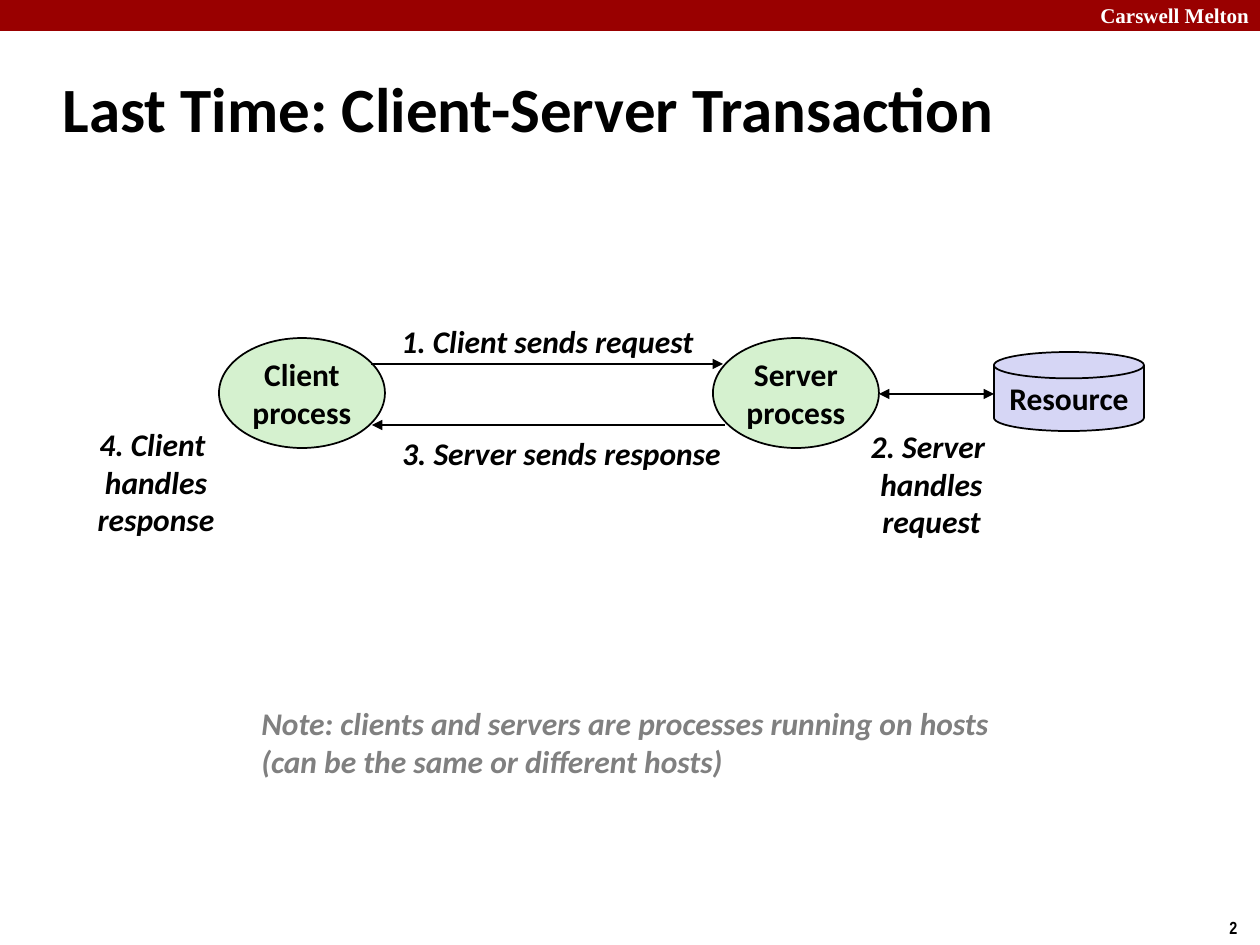
from lxml import etree
from pptx import Presentation
from pptx.dml.color import RGBColor
from pptx.enum.shapes import MSO_CONNECTOR, MSO_SHAPE
from pptx.enum.text import MSO_ANCHOR, PP_ALIGN
from pptx.oxml.ns import qn
from pptx.util import Pt

PX = 914400 // 126
WIDE, HIGH = 1260, 945

OVAL, DISK, RECT = MSO_SHAPE.OVAL, MSO_SHAPE.FLOWCHART_MAGNETIC_DISK, MSO_SHAPE.RECTANGLE
LINE = MSO_CONNECTOR.STRAIGHT
LEFT, MID = PP_ALIGN.LEFT, PP_ALIGN.CENTER
TOP, CENTER = MSO_ANCHOR.TOP, MSO_ANCHOR.MIDDLE

BLACK = RGBColor(0x00, 0x00, 0x00)
WHITE = RGBColor(0xFF, 0xFF, 0xFF)
GRAY = RGBColor(0x80, 0x80, 0x80)
RED = RGBColor(0x99, 0x00, 0x00)
GREEN = RGBColor(0xD5, 0xF1, 0xCF)
LILAC = RGBColor(0xD6, 0xD6, 0xF5)

TITLE = "Last Time: Client-Server Transaction"
TITLE_BOX = (50, 68, 987, 79)
BAR = (0, 0, WIDE, 31)

# kind, box, fill, lines
NODES = [
    (OVAL, (219, 338, 166, 110), GREEN, ["Client", "process"]),
    (OVAL, (713, 338, 166, 110), GREEN, ["Server", "process"]),
    (DISK, (994, 352, 150, 79), LILAC, ["Resource"]),
]

# start, end, ends that carry an arrowhead
ARROWS = [
    ((371, 364), (723, 364), ["tailEnd"]),
    ((725, 425), (372, 425), ["tailEnd"]),
    ((879, 394), (994, 394), ["headEnd", "tailEnd"]),
]

# box, lines
STEPS = [
    ((387, 316, 321, 50), ["1. Client sends request"]),
    ((857, 420, 149, 127), ["2. Server ", "handles", "request"]),
    ((387, 428, 349, 50), ["3. Server sends response"]),
    ((84, 418, 144, 127), ["4. Client ", "handles", "response"]),
]

NOTE_BOX = (249, 698, 770, 90)
NOTE = ["Note: clients and servers are processes running on hosts ",
        "(can be the same or different hosts)"]

# box, text, font, size, color
MARKS = [
    ((1088, -4, 181, 38), "Carswell Melton", "Times New Roman", 12, WHITE),
    ((1217, 911, 43, 34), "2", "Arial Narrow", 10, BLACK),
]


def emu(vals):
    """Turn pixels into EMU."""
    return [v * PX for v in vals]


def write(shape, lines, size=18, face="Calibri", color=BLACK,
          align=MID, anchor=CENTER, slant=False, wrap=False):
    """Fill a shape with bold paragraphs."""
    frame = shape.text_frame
    frame.text = "\n".join(lines)
    frame.word_wrap = wrap
    frame.vertical_anchor = anchor
    for para in frame.paragraphs:
        para.alignment = align
        font = para.font
        font.name, font.size, font.bold = face, Pt(size), True
        font.italic = slant
        font.color.rgb = color


def label(slide, box, lines, **style):
    """Add a text box."""
    write(slide.shapes.add_textbox(*emu(box)), lines, **style)


def block(slide, kind, box, fill, edge=None):
    """Add a flat shape, outlined if an edge color is given."""
    shape = slide.shapes.add_shape(kind, *emu(box))
    shape.shadow.inherit = False
    shape.fill.solid()
    shape.fill.fore_color.rgb = fill
    if edge is None:
        shape.line.fill.background()
    else:
        shape.line.color.rgb = edge
        shape.line.width = Pt(1)
    return shape


def arrow(slide, start, end, heads):
    """Add a straight line with arrowheads."""
    link = slide.shapes.add_connector(LINE, *emu(start + end))
    link.line.color.rgb = BLACK
    link.line.width = Pt(1)
    props = link.line._get_or_add_ln()
    for head in heads:
        etree.SubElement(props, qn("a:" + head), type="triangle")
    etree.SubElement(link._element.spPr, qn("a:effectLst"))


def build():
    """Build and save the slide."""
    deck = Presentation()
    deck.slide_width, deck.slide_height = emu((WIDE, HIGH))
    slide = deck.slides.add_slide(deck.slide_layouts[5])

    block(slide, RECT, BAR, RED)
    for box, text, face, size, color in MARKS:
        label(slide, box, [text], face=face, size=size, color=color,
              align=LEFT, anchor=TOP)

    title = slide.shapes.title
    title.left, title.top, title.width, title.height = emu(TITLE_BOX)
    write(title, [TITLE], size=36, align=LEFT, wrap=True)

    for kind, box, fill, lines in NODES:
        write(block(slide, kind, box, fill, BLACK), lines)
    for start, end, heads in ARROWS:
        arrow(slide, start, end, heads)
    for box, lines in STEPS:
        label(slide, box, lines, slant=True)
    label(slide, NOTE_BOX, NOTE, color=GRAY, align=LEFT, anchor=TOP, slant=True)

    deck.save("out.pptx")


build()
